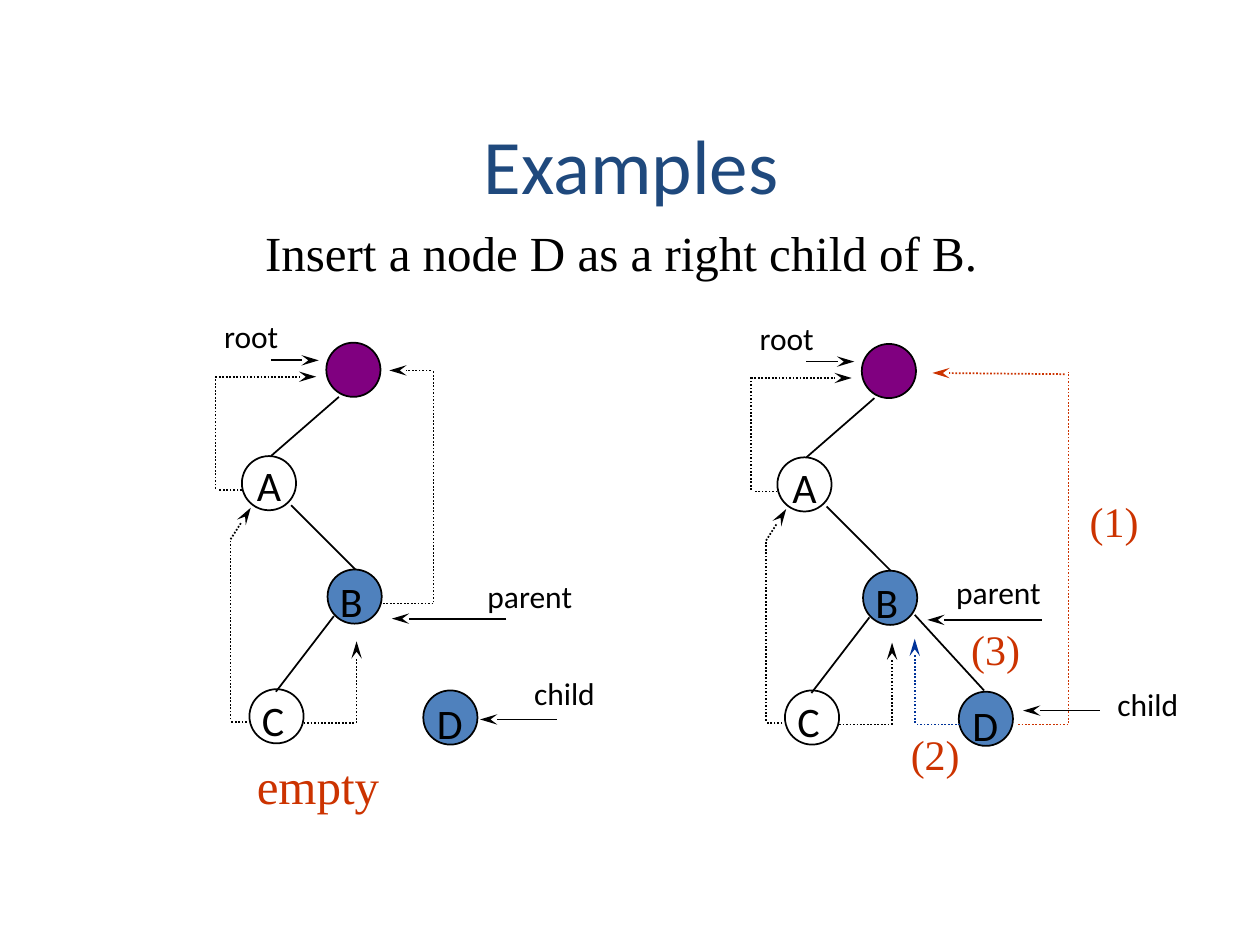
from lxml.etree import SubElement
from pptx import Presentation
from pptx.dml.color import RGBColor
from pptx.enum.dml import MSO_LINE
from pptx.enum.shapes import MSO_CONNECTOR, MSO_SHAPE
from pptx.enum.text import MSO_ANCHOR, PP_ALIGN
from pptx.oxml.ns import qn
from pptx.util import Inches, Pt

HUES = {"ink": "000000", "title": "1F497D", "root": "800080",
        "node": "4F81BD", "red": "CC3300", "blue": "003399"}
SANS, SERIF = "Calibri", "Times New Roman"
SIZE = 43

deck = Presentation()
deck.slide_width, deck.slide_height = Inches(10), Inches(7.5)
UNIT = deck.slide_width // 1000
slide = deck.slides.add_slide(deck.slide_layouts[6])


def tint(name):
    """Return the named colour."""
    return RGBColor.from_string(HUES[name])


def grid(*cells):
    """Turn cells of a 1000 by 750 grid into lengths."""
    return [cell * UNIT for cell in cells]


def label(words, box, size, font=SANS, hue="ink", align=PP_ALIGN.LEFT, wrap=False):
    """Place one line of text in a box."""
    frame = slide.shapes.add_textbox(*grid(*box)).text_frame
    frame.word_wrap = wrap
    frame.vertical_anchor = MSO_ANCHOR.MIDDLE if wrap else MSO_ANCHOR.TOP
    para = frame.paragraphs[0]
    para.alignment = align
    run = para.add_run()
    run.text = words
    run.font.size, run.font.name = Pt(size), font
    run.font.color.rgb = tint(hue)


def node(x, y, fill=None):
    """Draw a round tree node."""
    disc = slide.shapes.add_shape(MSO_SHAPE.OVAL, *grid(x, y, SIZE, SIZE))
    disc.shadow.inherit = False
    if fill:
        disc.fill.solid()
        disc.fill.fore_color.rgb = tint(fill)
    else:
        disc.fill.background()
    disc.line.color.rgb = tint("ink")
    disc.line.width = Pt(1)


def edge(x, y, ends, arrow=False, dots=False, hue="ink"):
    """Draw a line, pointed at its end on request, from an origin."""
    a, b, c, d = ends
    link = slide.shapes.add_connector(
        MSO_CONNECTOR.STRAIGHT, *grid(x + a, y + b, x + c, y + d))
    link.line.color.rgb = tint(hue)
    link.line.width = Pt(1)
    if dots:
        link.line.dash_style = MSO_LINE.ROUND_DOT
    if arrow:
        SubElement(link.line._get_or_add_ln(), qn("a:tailEnd"),
                   type="stealth", w="med", len="lg")
    SubElement(link._element.spPr, qn("a:effectLst"))


def thread(x, y, parts, hue="ink"):
    """Draw a dotted path whose last part ends in an arrow."""
    for part in parts:
        edge(x, y, part, part is parts[-1], True, hue)


def tree(x, y, parent, child, point):
    """Draw the tree shared by both halves, with its pointers."""
    for a, b, fill in ((91, 25, "root"), (24, 115, None), (92, 205, "node"),
                       (30, 300, None), (168, 301, "node")):
        node(x + a, y + b, fill)
    for name, a, b in (("A", 26, 113), ("B", 92, 205),
                       ("C", 30, 299), ("D", 169, 302)):
        label(name, (x + a, y + b, 43, 50), 24)
    for ends in ((101, 68, 47, 115), (63, 154, 114, 205), (97, 242, 51, 302)):
        edge(x, y, ends)
    thread(x, y, ((73, 327, 113, 327), (115, 327, 115, 262)))
    thread(x, y, ((28, 326, 15, 326), (15, 324, 15, 181), (15, 181, 31, 156)))
    thread(x, y, ((24, 142, 5, 142), (3, 141, 3, 51), (3, 52, 83, 52)))
    for ends in ((47, 39, 85, 39), (234, 244, 143, 244), point):
        edge(x, y, ends, True)
    for name, (a, b), wide in (("root", (0, 0), 65), ("parent", parent, 89),
                               ("child", child, 76)):
        label(name, (x + a, y + b, wide, 43), 18)


def before(x, y):
    """Draw the tree before the insertion."""
    tree(x, y, (209, 206), (246, 283), (274, 324, 213, 324))
    thread(x, y, ((136, 232, 175, 232), (176, 231, 176, 47), (174, 47, 141, 47)))
    label("empty", (x + 26, y + 348, 117, 57), 28, SERIF, "red")


def after(x, y):
    """Draw the tree after the insertion, with numbered steps."""
    tree(x, y, (156, 202), (284, 291), (280, 316, 219, 316))
    edge(x, y, (133, 240, 188, 300))
    thread(x, y, ((215, 327, 254, 327), (255, 326, 255, 47),
                  (252, 49, 147, 48)), "red")
    thread(x, y, ((169, 327, 134, 327), (133, 326, 133, 259)), "blue")
    for step, a, b in (("(1)", 262, 140), ("(2)", 120, 325), ("(3)", 168, 242)):
        label(step, (x + a, y + b, 59, 50), 24, SERIF, "red")


def head():
    """Place the title and the task."""
    label("Examples", (0, 67, 1002, 125), 44, SANS, "title", PP_ALIGN.CENTER, True)
    label("Insert a node D as a right child of B.", (200, 172, 586, 57), 28,
          SERIF, align=PP_ALIGN.CENTER)


head()
before(168, 247)
after(593, 248)
deck.save("out.pptx")
